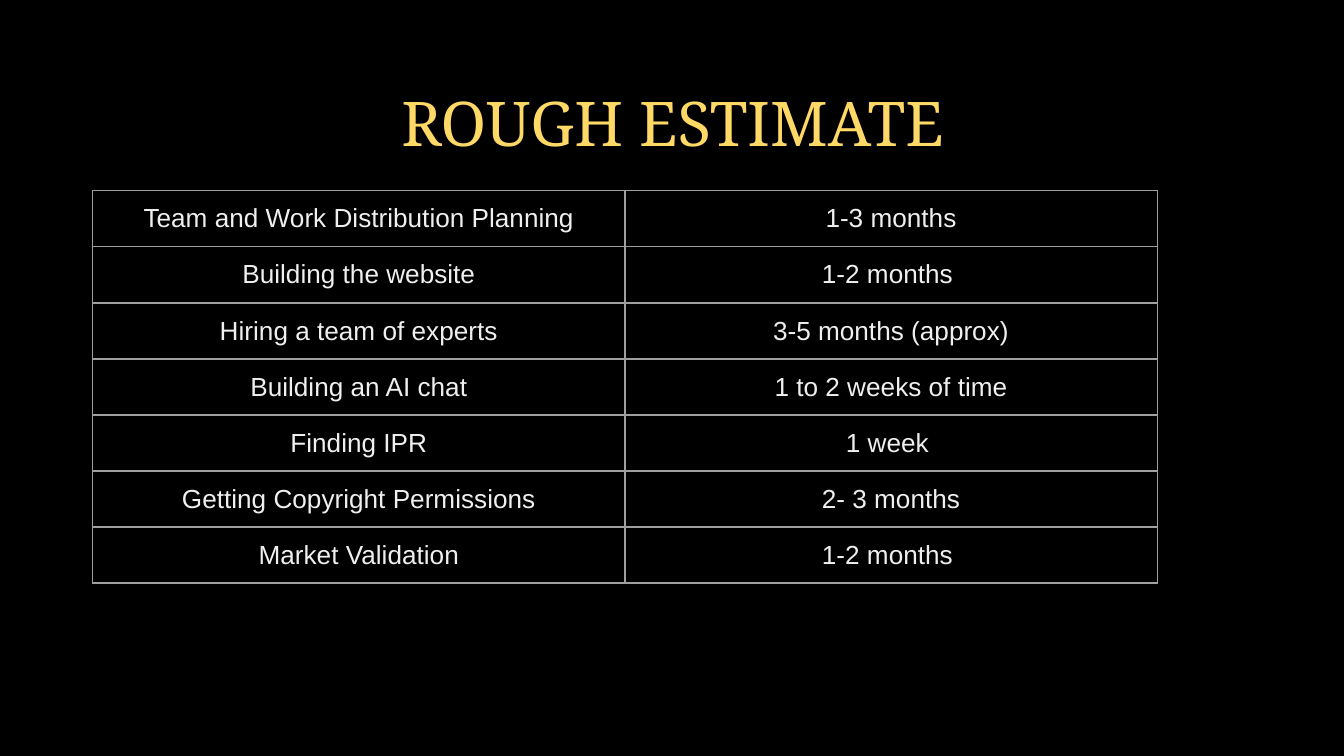
import pptx
import pptx.dml.color
import pptx.enum.text
import pptx.oxml
import pptx.oxml.ns
import pptx.util
from lxml import etree

Inches = pptx.util.Inches
SLIDE_WIDTH = 10
SLIDE_HEIGHT = SLIDE_WIDTH * 9 / 16
ESTIMATES = [
    ("Team and Work Distribution Planning", "1-3 months"),
    ("Building the website", "1-2 months "),
    ("Hiring a team of experts", "3-5 months (approx)"),
    ("Building an AI chat", "1 to 2 weeks of time"),
    ("Finding IPR", "1 week "),
    ("Getting Copyright Permissions", "2- 3 months"),
    ("Market Validation", "1-2 months "),
]


def set_all(target, values):
    """Set each attribute in values on the target."""
    for name, value in values.items():
        setattr(target, name, value)


def set_color(color_format, color):
    """Apply a hex color."""
    color_format.rgb = pptx.dml.color.RGBColor.from_string(color)


def middle_format(side_margin, end_margin):
    """Return format values for vertically centred text with margins."""
    return {
        "vertical_anchor": pptx.enum.text.MSO_ANCHOR.MIDDLE,
        "margin_left": Inches(side_margin),
        "margin_right": Inches(side_margin),
        "margin_top": Inches(end_margin),
        "margin_bottom": Inches(end_margin),
    }


def write(text_frame, text, font, size, color):
    """Write one centred line of text."""
    paragraph = text_frame.paragraphs[0]
    paragraph.alignment = pptx.enum.text.PP_ALIGN.CENTER
    run = paragraph.add_run()
    run.text = text
    set_all(run.font, {"name": font, "size": pptx.util.Pt(size), "bold": False})
    set_color(run.font.color, color)


def add_borders(cell, color, width):
    """Draw a solid line on all four sides of a cell."""
    properties = cell._tc.get_or_add_tcPr()
    for index, side in enumerate(("lnL", "lnR", "lnT", "lnB")):
        line = etree.Element(pptx.oxml.ns.qn(f"a:{side}"), w=str(pptx.util.Pt(width)))
        fill = etree.SubElement(line, pptx.oxml.ns.qn("a:solidFill"))
        etree.SubElement(fill, pptx.oxml.ns.qn("a:srgbClr"), val=color)
        properties.insert(index, line)


def add_title(slide, left, top, width, height):
    """Place the slide title in the given box."""
    box = slide.shapes.add_textbox(*map(Inches, (left, top, width, height)))
    set_all(box.text_frame, {"word_wrap": True, **middle_format(0.1, 0.1)})
    write(box.text_frame, "ROUGH ESTIMATE", "Noto Serif", 33, "FFD966")


def add_estimates(slide, left, top, width, height):
    """Place the table of tasks and durations in the given box."""
    table = slide.shapes.add_table(
        len(ESTIMATES), 2, *map(Inches, (left, top, width, height))).table
    set_all(table, {"first_row": False, "horz_banding": False})
    for row, texts in zip(table.rows, ESTIMATES):
        for cell, text in zip(row.cells, texts):
            set_all(cell, middle_format(0.1, 0.09))
            cell.fill.background()
            add_borders(cell, "9E9E9E", 0.75)
            write(cell.text_frame, text, "Arial", 14, "EFEFEF")


def build():
    """Build and save the presentation."""
    presentation = pptx.Presentation()
    set_all(presentation, {
        "slide_width": Inches(SLIDE_WIDTH), "slide_height": Inches(SLIDE_HEIGHT)})
    slide = presentation.slides.add_slide(presentation.slide_layouts[6])
    slide.background.fill.solid()
    set_color(slide.background.fill.fore_color, "000000")
    add_title(slide, 0.77, 0.55, 8.47, 0.72)
    add_estimates(slide, 0.69, 1.42, 7.92, 2.92)
    presentation.save("out.pptx")


build()
